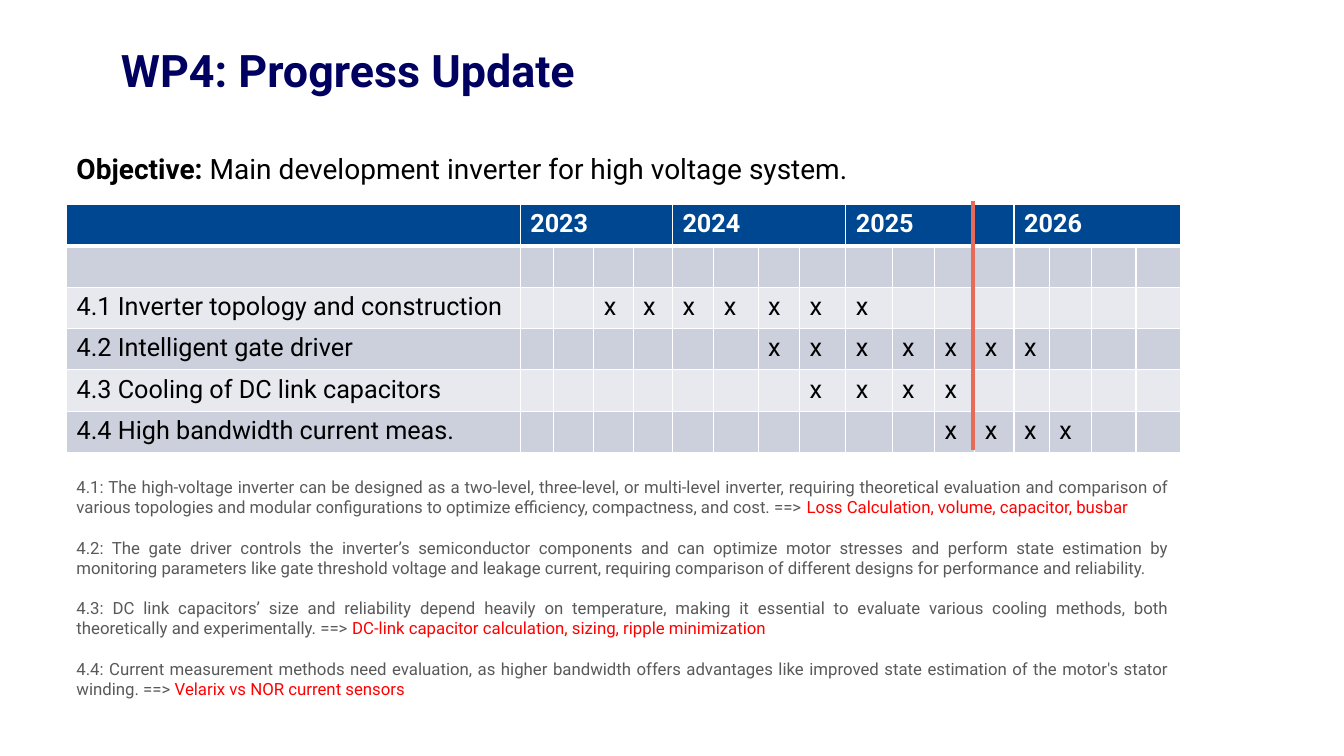
from lxml import etree
from pptx import Presentation
from pptx.dml.color import RGBColor
from pptx.enum.shapes import MSO_CONNECTOR
from pptx.enum.text import MSO_ANCHOR, PP_ALIGN
from pptx.oxml.ns import qn
from pptx.util import Inches, Pt

STRAIGHT = MSO_CONNECTOR.STRAIGHT
TOP, MIDDLE = MSO_ANCHOR.TOP, MSO_ANCHOR.MIDDLE
LEFT, JUSTIFY = PP_ALIGN.LEFT, PP_ALIGN.JUSTIFY

FONT = "Roboto"
NAVY = RGBColor(0x00, 0x00, 0x61)
BLACK = RGBColor(0x00, 0x00, 0x00)
WHITE = RGBColor(0xFF, 0xFF, 0xFF)
GRAY = RGBColor(0x59, 0x59, 0x59)
RED = RGBColor(0xFF, 0x00, 0x00)
CORAL = RGBColor(0xE8, 0x6A, 0x58)
HEADER_BLUE = RGBColor(0x00, 0x47, 0x91)
BANDS = (RGBColor(0xE7, 0xE9, 0xEE), RGBColor(0xCC, 0xCF, 0xDC))

COLUMN_WIDTHS = (4.5, 0.33, 0.4, 0.39, 0.39, 0.41, 0.44, 0.41, 0.46,
                 0.46, 0.42, 0.4, 0.39, 0.35, 0.42, 0.44, 0.44)
ROW_HEIGHT = 0.41
YEARS = ("2023", "2024", "2025", "2026")
QUARTERS = 4
TASKS = (
    ("", range(0)),
    ("4.1 Inverter topology and construction", range(3, 10)),
    ("4.2 Intelligent gate driver", range(7, 14)),
    ("4.3 Cooling of DC link capacitors", range(8, 12)),
    ("4.4 High bandwidth current meas.", range(11, 15)),
)
NOTES = (
    ("4.1: The high-voltage inverter can be designed as a two-level, three-level, or "
     "multi-level inverter, requiring theoretical evaluation and comparison of various "
     "topologies and modular configurations to optimize efficiency, compactness, and cost. ==> ",
     "Loss Calculation, volume, capacitor, busbar"),
    ("4.2: The gate driver controls the inverter’s semiconductor components and can optimize "
     "motor stresses and perform state estimation by monitoring parameters like gate threshold "
     "voltage and leakage current, requiring comparison of different designs for performance "
     "and reliability.", ""),
    ("4.3: DC link capacitors’ size and reliability depend heavily on temperature, making it "
     "essential to evaluate various cooling methods, both theoretically and experimentally. ==> ",
     "DC-link capacitor calculation, sizing, ripple minimization"),
    ("4.4: Current measurement methods need evaluation, as higher bandwidth offers advantages "
     "like improved state estimation of the motor's stator winding. ==> ",
     "Velarix vs NOR current sensors"),
)


def add_span(para, text, size, color, bold=False):
    """Append one formatted run to a paragraph."""
    span = para.add_run()
    span.text = text
    span.font.name = FONT
    span.font.size = Pt(size)
    span.font.bold = bold
    span.font.color.rgb = color


def add_text(page, place, paragraphs, anchor=TOP, align=LEFT, spacing=1.0, gap=0):
    """Add a wrapped text box whose paragraphs are lists of spans."""
    box = page.shapes.add_textbox(*map(Inches, place))
    frame = box.text_frame
    frame.word_wrap = True
    frame.vertical_anchor = anchor
    for index, spans in enumerate(paragraphs):
        para = frame.add_paragraph() if index else frame.paragraphs[0]
        para.alignment = align
        para.line_spacing = spacing
        if index:
            para.space_before = Pt(gap)
        for span in spans:
            add_span(para, *span)
    return frame


def style_cell(cell, fill, bottom=1):
    """Give a cell its fill and white borders."""
    properties = cell._tc.get_or_add_tcPr()
    for side, width in (("L", 1), ("R", 1), ("T", 1), ("B", bottom)):
        line = etree.SubElement(properties, qn(f"a:ln{side}"), w=str(Pt(width)))
        solid = etree.SubElement(line, qn("a:solidFill"))
        etree.SubElement(solid, qn("a:srgbClr"), val=str(WHITE))
    cell.fill.solid()
    cell.fill.fore_color.rgb = fill


def write_cell(cell, text, color, bold=False):
    """Write table text into a cell."""
    add_span(cell.text_frame.paragraphs[0], text, 18, color, bold)


def add_schedule(page, left, top):
    """Add the table of tasks by quarter."""
    rows = len(TASKS) + 1
    columns = len(COLUMN_WIDTHS)
    table = page.shapes.add_table(
        rows, columns, Inches(left), Inches(top),
        Inches(sum(COLUMN_WIDTHS)), Inches(rows * ROW_HEIGHT)).table
    for column, width in zip(table.columns, COLUMN_WIDTHS):
        column.width = Inches(width)
    for row in table.rows:
        row.height = Inches(ROW_HEIGHT)
    for column in range(columns):
        style_cell(table.cell(0, column), HEADER_BLUE, bottom=3)
    for index, year in enumerate(YEARS):
        first = 1 + index * QUARTERS
        cell = table.cell(0, first)
        cell.merge(table.cell(0, first + QUARTERS - 1))
        write_cell(cell, year, WHITE, bold=True)
    for row, (task, active) in enumerate(TASKS, start=1):
        for column in range(columns):
            cell = table.cell(row, column)
            style_cell(cell, BANDS[row % 2])
            text = "x" if column in active else ""
            if column == 0:
                text = task
            if text:
                write_cell(cell, text, BLACK)


def add_today_line(page, x, top, bottom):
    """Mark the present date with a vertical line."""
    line = page.shapes.add_connector(
        STRAIGHT, Inches(x), Inches(top), Inches(x), Inches(bottom))
    line.line.color.rgb = CORAL
    line.line.width = Pt(2.25)
    etree.SubElement(line._element.spPr, qn("a:effectLst"))


def main():
    """Build and save the slide."""
    deck = Presentation()
    deck.slide_width, deck.slide_height = Inches(13.33), Inches(7.5)
    page = deck.slides.add_slide(deck.slide_layouts[6])

    title = add_text(page, (1.1, 0.36, 11.57, 0.65),
                     [[("WP4: Progress Update", 32, NAVY, True)]],
                     anchor=MIDDLE, spacing=0.9)
    title.margin_top = Inches(0.12)
    add_text(page, (0.66, 1.49, 12.02, 0.5),
             [[("Objective: ", 20, BLACK, True),
               ("Main development inverter for high voltage system.", 20, BLACK)]],
             spacing=0.9)
    add_schedule(page, 0.66, 2.03)
    notes = [[(text, 12, color) for text, color in zip(note, (GRAY, RED)) if text]
             for note in NOTES]
    add_text(page, (0.66, 4.68, 11.04, 2.32), notes, align=JUSTIFY, gap=14.5)
    add_today_line(page, 9.65, 1.99, 4.46)

    deck.save("out.pptx")


if __name__ == "__main__":
    main()
